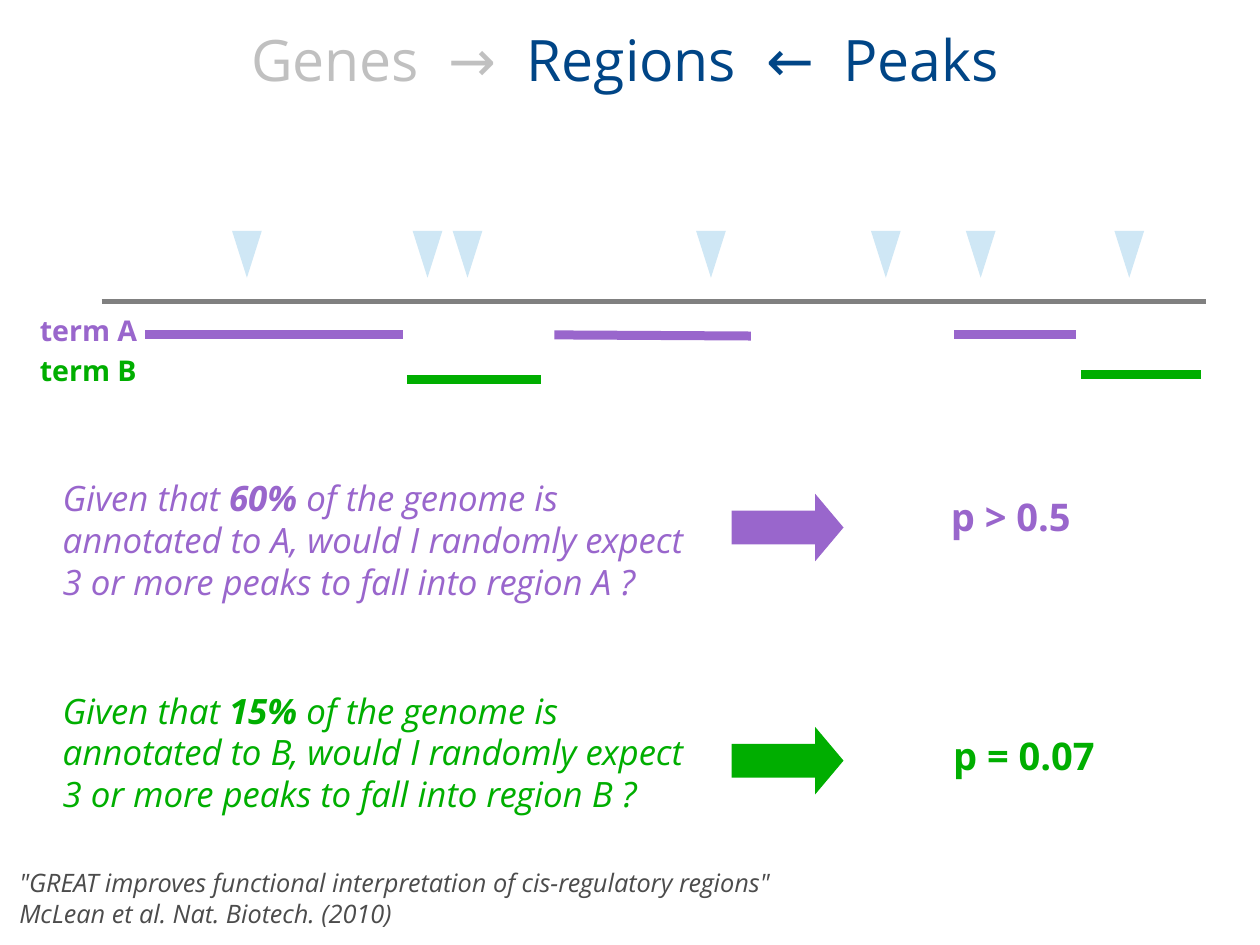
from dataclasses import dataclass

from lxml import etree
from pptx import Presentation
from pptx.dml.color import RGBColor
from pptx.enum.shapes import MSO_CONNECTOR, MSO_SHAPE
from pptx.enum.text import MSO_ANCHOR, PP_ALIGN
from pptx.oxml.ns import qn
from pptx.util import Inches, Pt

STRAIGHT = MSO_CONNECTOR.STRAIGHT
TRIANGLE = MSO_SHAPE.ISOSCELES_TRIANGLE
RIGHT_ARROW = MSO_SHAPE.RIGHT_ARROW
TOP, MIDDLE = MSO_ANCHOR.TOP, MSO_ANCHOR.MIDDLE
LEFT, CENTER = PP_ALIGN.LEFT, PP_ALIGN.CENTER


@dataclass(frozen=True)
class Theme:
    font: str = "Open Sans"
    muted: str = "C0C0C0"
    heading: str = "004586"
    citation: str = "4C4C4C"
    genome: str = "808080"
    peak: str = "CFE7F5"
    term_a: str = "9966CC"
    term_b: str = "00AE00"
    title_size: int = 36
    result_size: int = 24
    question_size: int = 22
    label_size: int = 18
    citation_size: int = 16
    genome_width: float = 2.83
    region_width: float = 5.67


THEME = Theme()

CM_PER_INCH = 2.54
PAGE_WIDTH, PAGE_HEIGHT = 28 / CM_PER_INCH, 21 / CM_PER_INCH

TITLE = [("Genes  →", {"color": THEME.muted}), ("  Regions  ←  Peaks", {})]
CITATION = [
    '"GREAT improves functional interpretation of cis-regulatory regions"',
    "McLean et al. Nat. Biotech. (2010)",
]
GENOME = (0.89, 2.64, 10.55, 2.64)
PEAK_LEFTS = [2.03, 3.61, 3.96, 6.09, 7.62, 8.45, 9.75]
PEAK_TOP, PEAK_WIDTH, PEAK_HEIGHT = 2.02, 0.26, 0.41
TERMS = [
    {
        "name": "A", "share": "60%", "color": THEME.term_a,
        "label_top": 2.69, "question_top": 4.12, "arrow_top": 4.32,
        "result": "p > 0.5", "result_at": (8.22, 4.27, 1.48, 0.55),
        "regions": [(1.27, 2.93, 3.53, 2.93), (4.85, 2.93, 6.57, 2.94),
                    (8.35, 2.93, 9.41, 2.93)],
    },
    {
        "name": "B", "share": "15%", "color": THEME.term_b,
        "label_top": 3.04, "question_top": 5.98, "arrow_top": 6.36,
        "result": "p = 0.07", "result_at": (8.24, 6.36, 1.73, 0.55),
        "regions": [(3.56, 3.32, 4.73, 3.32), (9.46, 3.28, 10.51, 3.28)],
    },
]


def add_text(page, paragraphs, at, size, color, bold=False, italic=False,
             align=LEFT, anchor=TOP, wrap=False, inset=(0.1, 0.05)):
    box = page.shapes.add_textbox(*map(Inches, at))
    frame = box.text_frame
    frame.word_wrap = wrap
    frame.vertical_anchor = anchor
    frame.margin_left = frame.margin_right = Inches(inset[0])
    frame.margin_top = frame.margin_bottom = Inches(inset[1])
    for index, runs in enumerate(paragraphs):
        para = frame.add_paragraph() if index else frame.paragraphs[0]
        para.alignment = align
        for text, changes in runs:
            span = para.add_run()
            span.text = text
            span.font.name = THEME.font
            span.font.size = Pt(size)
            span.font.bold = changes.get("bold", bold)
            span.font.italic = italic
            span.font.color.rgb = RGBColor.from_string(changes.get("color", color))


def add_line(page, ends, color, width):
    line = page.shapes.add_connector(STRAIGHT, *map(Inches, ends))
    line.line.color.rgb = RGBColor.from_string(color)
    line.line.width = Pt(width)
    etree.SubElement(line._element.spPr, qn("a:effectLst"))


def add_solid(page, kind, at, color):
    shape = page.shapes.add_shape(kind, *map(Inches, at))
    shape.shadow.inherit = False
    shape.fill.solid()
    shape.fill.fore_color.rgb = RGBColor.from_string(color)
    shape.line.fill.background()
    return shape


def add_term(page, term):
    name, color = term["name"], term["color"]
    for ends in term["regions"]:
        add_line(page, ends, color, THEME.region_width)
    add_text(page, [[(f"term {name}", {})]], (0.25, term["label_top"], 1.05, 0.44),
             THEME.label_size, color, bold=True)
    question = [
        ("Given that ", {}),
        (term["share"], {"bold": True}),
        (f" of the genome is annotated to {name}, would I randomly expect "
         f"3 or more peaks to fall into region {name} ?", {}),
    ]
    add_text(page, [question], (0.45, term["question_top"], 5.86, 1.35),
             THEME.question_size, color, italic=True, wrap=True)
    arrow = add_solid(page, RIGHT_ARROW, (6.4, term["arrow_top"], 0.98, 0.59), color)
    arrow.adjustments[1] = 0.42
    add_text(page, [[(term["result"], {})]], term["result_at"],
             THEME.result_size, color, bold=True)


def main():
    deck = Presentation()
    deck.slide_width = Inches(PAGE_WIDTH)
    deck.slide_height = Inches(PAGE_HEIGHT)
    page = deck.slides.add_slide(deck.slide_layouts[6])

    add_text(page, [TITLE], (0.51, 0.01, 9.92, 1.01), THEME.title_size, THEME.heading,
             align=CENTER, anchor=MIDDLE, wrap=True, inset=(0, 0))
    add_text(page, [[(line, {})] for line in CITATION], (0.07, 7.54, 6.89, 0.71),
             THEME.citation_size, THEME.citation, italic=True)
    add_line(page, GENOME, THEME.genome, THEME.genome_width)
    for left in PEAK_LEFTS:
        peak = add_solid(page, TRIANGLE, (left, PEAK_TOP, PEAK_WIDTH, PEAK_HEIGHT), THEME.peak)
        peak.rotation = 180
    for term in TERMS:
        add_term(page, term)

    deck.save("out.pptx")


if __name__ == "__main__":
    main()
